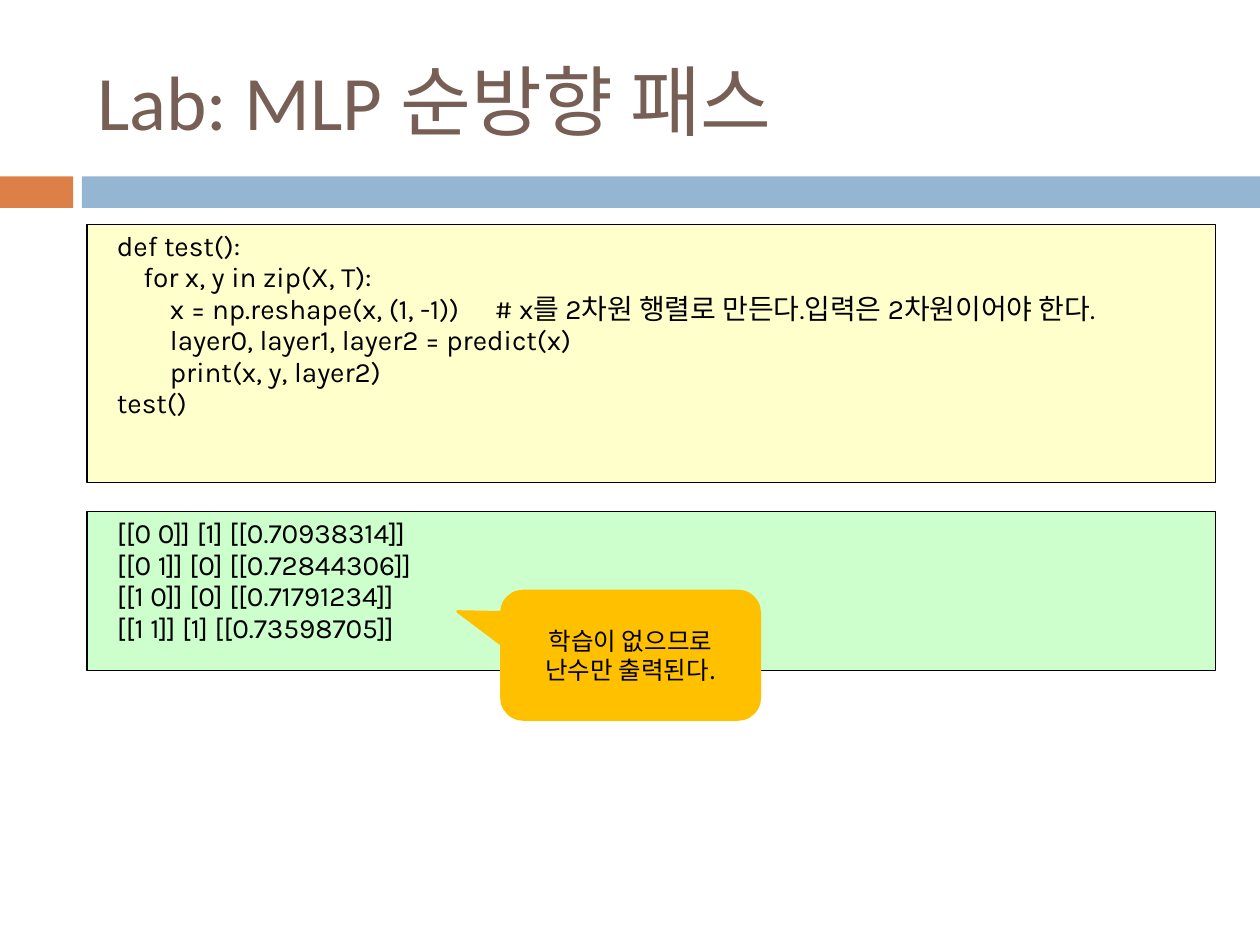
from lxml import etree
from pptx import Presentation
from pptx.dml.color import RGBColor
from pptx.enum.shapes import MSO_SHAPE
from pptx.enum.text import MSO_ANCHOR, PP_ALIGN
from pptx.oxml.ns import qn
from pptx.util import Inches, Pt

RECTANGLE = MSO_SHAPE.RECTANGLE
CALLOUT = MSO_SHAPE.ROUNDED_RECTANGULAR_CALLOUT
TOP, MIDDLE = MSO_ANCHOR.TOP, MSO_ANCHOR.MIDDLE
LEFT, CENTER = PP_ALIGN.LEFT, PP_ALIGN.CENTER

COLORS = {
    "title": "775F55",
    "accent": "DD8047",
    "band": "94B6D2",
    "code": "FFFFCC",
    "output": "CCFFCC",
    "callout": "FFC000",
    "black": "000000",
}
KOREAN_FONT = "Noto Sans CJK KR"

CODE = [
    "def test():",
    "    for x, y in zip(X, T):",
    "        x = np.reshape(x, (1, -1))\t# x를 2차원 행렬로 만든다.입력은 2차원이어야 한다.",
    "        layer0, layer1, layer2 = predict(x)",
    "        print(x, y, layer2)",
    "test()",
]
OUTPUT = [
    "[[0 0]] [1] [[0.70938314]]",
    "[[0 1]] [0] [[0.72844306]]",
    "[[1 0]] [0] [[0.71791234]]",
    "[[1 1]] [1] [[0.73598705]]",
]


def rgb(name):
    """Return the named palette colour."""
    return RGBColor.from_string(COLORS[name])


def to_inches(box):
    """Convert a box of inch values to lengths."""
    return [Inches(value) for value in box]


def add_text(paragraph, text, size, font, color="black"):
    """Add a formatted run with a Korean fallback font."""
    run = paragraph.add_run()
    run.text = text
    for name, value in {"size": Pt(size), "name": font, "bold": False}.items():
        setattr(run.font, name, value)
    run.font.color.rgb = rgb(color)
    east_asian = etree.SubElement(run.font._element, qn("a:ea"))
    east_asian.set("typeface", KOREAN_FONT)


def add_panel(slide, box, fill, line=None, width=0.75, kind=RECTANGLE):
    """Add a flat filled shape, outlined if a line colour is given."""
    panel = slide.shapes.add_shape(kind, *to_inches(box))
    panel.shadow.inherit = False
    panel.fill.solid()
    panel.fill.fore_color.rgb = rgb(fill)
    if line:
        panel.line.color.rgb = rgb(line)
        panel.line.width = Pt(width)
    else:
        panel.line.fill.background()
    return panel


def add_header(slide, box, title_text):
    """Place the title and the two-colour band at the foot of the box."""
    left, top, width, height = box
    band_height, accent_width, band_left = 0.25, 0.58, 0.65
    band_top = top + height - band_height
    add_panel(slide, (left, band_top, accent_width, band_height), "accent")
    add_panel(slide, (left + band_left, band_top, width - band_left, band_height), "band")
    title = slide.shapes.title
    title_box = to_inches((left + 0.67, top + 0.25, 8.92, 1.08))
    for name, value in zip(("left", "top", "width", "height"), title_box):
        setattr(title, name, value)
    title.text_frame.vertical_anchor = MIDDLE
    paragraph = title.text_frame.paragraphs[0]
    paragraph.alignment = LEFT
    add_text(paragraph, title_text, 44, "Calibri", "title")


def add_listing(slide, box, lines, fill):
    """Place a bordered panel with one paragraph per line of code."""
    frame = add_panel(slide, box, fill, "black").text_frame
    frame.word_wrap = True
    frame.vertical_anchor = TOP
    for index, line in enumerate(lines):
        paragraph = frame.add_paragraph() if index else frame.paragraphs[0]
        paragraph.alignment = LEFT
        paragraph.line_spacing = Pt(18)
        properties = paragraph._p.get_or_add_pPr()
        properties.set("marL", str(Inches(0.14)))
        properties.set("indent", "0")
        tabs = etree.SubElement(properties, qn("a:tabLst"))
        etree.SubElement(tabs, qn("a:tab"), pos=str(Inches(0.28)), algn="l")
        add_text(paragraph, line, 16, "Karla")


def add_callout(slide, box, text):
    """Place a rounded callout pointing left to the output."""
    callout = add_panel(slide, box, "callout", "callout", 1.5, CALLOUT)
    for index, value in enumerate((-0.67, -0.34, 0.17)):
        callout.adjustments[index] = value
    frame = callout.text_frame
    frame.word_wrap = True
    frame.vertical_anchor = MIDDLE
    paragraph = frame.paragraphs[0]
    paragraph.alignment = CENTER
    add_text(paragraph, text, 14, KOREAN_FONT)


def main():
    """Build and save the slide."""
    presentation = Presentation()
    presentation.slide_width = Inches(10)
    presentation.slide_height = Inches(7.5)
    slide = presentation.slides.add_slide(presentation.slide_layouts[5])
    add_header(slide, (0, 0, 10, 1.65), "Lab: MLP 순방향 패스")
    add_listing(slide, (0.69, 1.78, 8.96, 2.05), CODE, "code")
    add_listing(slide, (0.69, 4.06, 8.96, 1.26), OUTPUT, "output")
    add_callout(slide, (3.98, 4.69, 2.05, 1.02), "학습이 없으므로 난수만 출력된다.")
    presentation.save("out.pptx")


if __name__ == "__main__":
    main()
